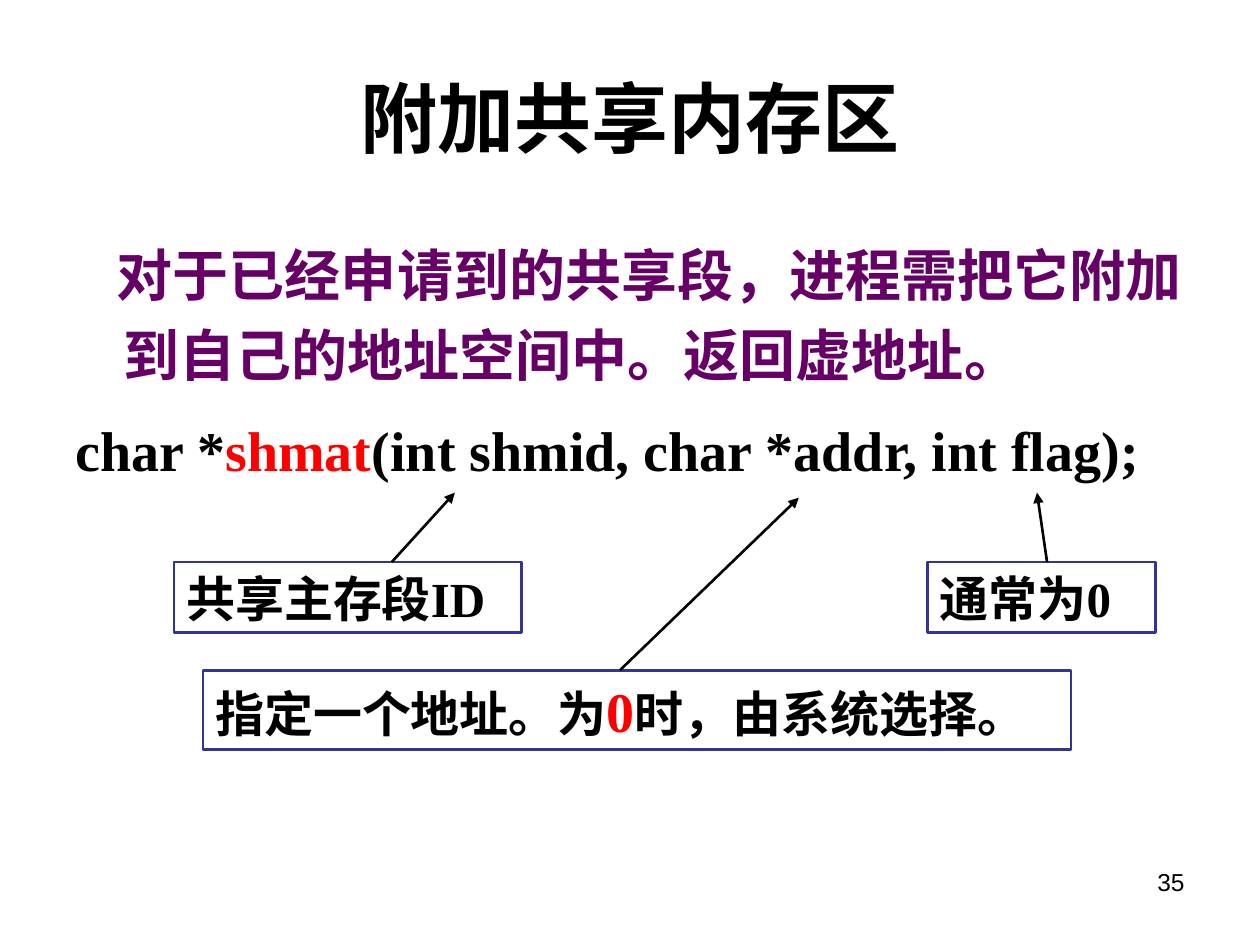
from lxml import etree
from pptx import Presentation
from pptx.dml.color import RGBColor
from pptx.enum.shapes import MSO_CONNECTOR, MSO_SHAPE
from pptx.enum.text import MSO_ANCHOR, MSO_AUTO_SIZE, PP_ALIGN
from pptx.oxml.ns import qn
from pptx.util import Inches, Pt

BLACK = RGBColor(0x00, 0x00, 0x00)
WHITE = RGBColor(0xFF, 0xFF, 0xFF)
RED = RGBColor(0xFF, 0x00, 0x00)
PURPLE = RGBColor(0x66, 0x00, 0x66)
BLUE = RGBColor(0x33, 0x33, 0x99)
RECT = MSO_SHAPE.RECTANGLE
LINE = MSO_CONNECTOR.STRAIGHT
LEFT, CENTER, RIGHT = PP_ALIGN.LEFT, PP_ALIGN.CENTER, PP_ALIGN.RIGHT
MIDDLE, TOP = MSO_ANCHOR.MIDDLE, MSO_ANCHOR.TOP
GROW = MSO_AUTO_SIZE.SHAPE_TO_FIT_TEXT
SANS, SERIF = "Arial", "Times New Roman"

# A run is its text, then any format that differs from the rest.
TITLE = "附加共享内存区"
INTRO = [
    ("对于已经申请到的共享段，进程需把它附加到自己的地址空间中。", {"font": SANS}),
    ("返回虚地址。", {}),
]
CALL = [
    ("char *", {}),
    ("shmat", {"color": RED}),
    ("(int shmid, char *addr, int flag);", {}),
]
# Each note: box, runs, arrow start x on the box top, arrow tip
NOTES = [
    ((1.38, 4.46, 2.76, 0.56), [("共享主存段ID", {})], 3.11, (3.61, 3.91)),
    ((7.36, 4.46, 1.81, 0.56), [("通常为0", {})], 8.31, (8.23, 3.91)),
    ((1.61, 5.32, 6.89, 0.63),
     [("指定一个地址。为", {}), ("0", {"size": 32, "color": RED}),
      ("时，由系统选择。", {})], 4.92, (6.34, 3.95)),
]
NUMBER = "35"


def write(para, runs, align=LEFT, **base):
    """Add runs, given as a string or (text, format) pairs, to a paragraph."""
    para.alignment = align
    if isinstance(runs, str):
        runs = [(runs, {})]
    for text, own in runs:
        form = {"size": 28, "font": SERIF, "color": BLACK, "bold": True,
                **base, **own}
        run = para.add_run()
        run.text = text
        run.font.size = Pt(form["size"])
        run.font.name = form["font"]
        run.font.bold = form["bold"]
        run.font.color.rgb = form["color"]


def space(para, first):
    """Set body spacing, a 0.38 inch margin and the first-line indent."""
    para.line_spacing = 1.2
    para.space_before = Pt(8)
    props = para._p.get_or_add_pPr()
    props.set("marL", str(Inches(0.38)))
    props.set("indent", str(Inches(first)))


def add_box(slide, area):
    frame = slide.shapes.add_textbox(*map(Inches, area)).text_frame
    frame.word_wrap = True
    return frame


def add_note(slide, area, runs):
    box = slide.shapes.add_shape(RECT, *map(Inches, area))
    box.shadow.inherit = False
    box.fill.solid()
    box.fill.fore_color.rgb = WHITE
    box.line.color.rgb = BLUE
    box.line.width = Pt(1.5)
    frame = box.text_frame
    frame.word_wrap = True
    frame.auto_size = GROW
    frame.vertical_anchor = TOP
    write(frame.paragraphs[0], runs)


def add_arrow(slide, start, tip):
    arrow = slide.shapes.add_connector(LINE, *map(Inches, start + tip))
    arrow.line.color.rgb = BLACK
    arrow.line.width = Pt(1.5)
    etree.SubElement(arrow.line._get_or_add_ln(), qn("a:tailEnd"), type="triangle")
    etree.SubElement(arrow._element.spPr, qn("a:effectLst"))


def main():
    deck = Presentation()
    deck.slide_width, deck.slide_height = Inches(10), Inches(7.5)
    slide = deck.slides.add_slide(deck.slide_layouts[5])

    title = slide.shapes.title
    title.left, title.top, title.width, title.height = map(Inches, (0.5, 0.3, 9, 1.25))
    title.text_frame.vertical_anchor = MIDDLE
    write(title.text_frame.paragraphs[0], TITLE, align=CENTER, size=44, font=SANS)

    body = add_box(slide, (0.5, 1.75, 9, 4.95))
    intro, call = body.paragraphs[0], body.add_paragraph()
    write(intro, INTRO, size=32, color=PURPLE)
    space(intro, -0.05)
    write(call, CALL, size=32)
    space(call, -0.38)

    for area, runs, _, _ in NOTES:
        add_note(slide, area, runs)
    for area, _, x, tip in NOTES:
        add_arrow(slide, (x, area[1]), tip)

    number = add_box(slide, (7.17, 6.83, 2.33, 0.52))
    write(number.paragraphs[0], NUMBER, align=RIGHT, size=14, font=SANS, bold=False)
    deck.save("out.pptx")


if __name__ == "__main__":
    main()
